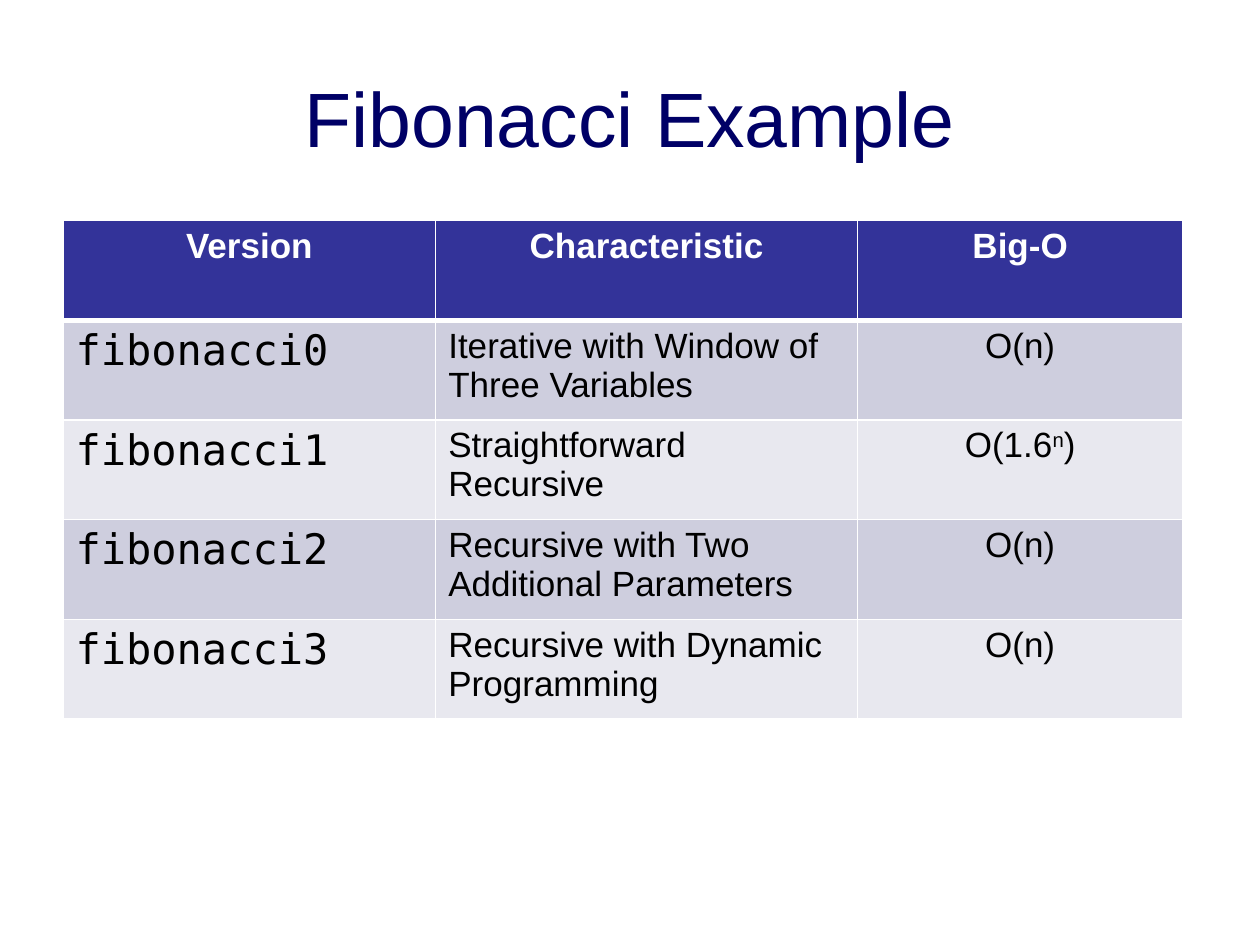
from lxml import etree
from pptx import Presentation
from pptx import util as u
from pptx.dml.color import RGBColor
from pptx.enum import text
from pptx.oxml import ns

Pt = u.Pt
CENTER, LEFT = text.PP_ALIGN.CENTER, text.PP_ALIGN.LEFT


def add_run(paragraph, words, color, **formats):
    run = paragraph.add_run()
    run.text = words
    run.font.color.rgb = RGBColor.from_string(color)
    for name, value in formats.items():
        setattr(run.font, name, value)
    return run


def add_border(cell, side, width, color):
    line = etree.SubElement(cell._tc.get_or_add_tcPr(), ns.qn(f"a:ln{side}"), w=str(Pt(width)))
    fill = etree.SubElement(line, ns.qn("a:solidFill"))
    etree.SubElement(fill, ns.qn("a:srgbClr"), val=color)


presentation = Presentation()
presentation.slide_width, presentation.slide_height = Pt(720), Pt(540)
slide = presentation.slides.add_slide(presentation.slide_layouts[5])

# Title
title = slide.shapes.title
title.left, title.top, title.width, title.height = Pt(36), Pt(21.6), Pt(648), Pt(90)
title.text_frame.vertical_anchor = text.MSO_ANCHOR.MIDDLE
paragraph = title.text_frame.paragraphs[0]
paragraph.alignment = CENTER
add_run(paragraph, "Fibonacci Example", "000066", size=Pt(44), name="Arial")

# Table content; a caret starts a superscript that ends before the last bracket
rows = [
    ("Version", "Characteristic", "Big-O"),
    ("fibonacci0", "Iterative with Window of Three Variables", "O(n)"),
    ("fibonacci1", "Straightforward Recursive", "O(1.6^n)"),
    ("fibonacci2", "Recursive with Two Additional Parameters", "O(n)"),
    ("fibonacci3", "Recursive with Dynamic Programming", "O(n)"),
]
column_widths = [213, 241, 186]
row_height = 57
header_format = {"size": Pt(20), "name": "Arial", "bold": True}
column_formats = [
    {"size": Pt(24), "name": "DejaVu Sans Mono"},
    {"size": Pt(20), "name": "Arial"},
    {"size": Pt(20), "name": "Arial"},
]
column_alignments = [LEFT, LEFT, CENTER]

# Table grid
table = slide.shapes.add_table(
    len(rows), len(column_widths), Pt(36), Pt(126),
    Pt(sum(column_widths)), Pt(row_height * len(rows))).table
for column, width in zip(table.columns, column_widths):
    column.width = Pt(width)

# Table cells
for row_index, row in enumerate(rows):
    table.rows[row_index].height = Pt(row_height)
    header = row_index == 0
    fill_color = "333399" if header else ("E8E8EF", "CECEDE")[row_index % 2]
    text_color = "FFFFFF" if header else "000000"
    border_widths = {"L": 1, "R": 1, "T": 3 if row_index == 1 else 1, "B": 3 if header else 1}
    for column_index, words in enumerate(row):
        cell = table.cell(row_index, column_index)
        for side, width in border_widths.items():
            add_border(cell, side, width, "FFFFFF")
        cell.fill.solid()
        cell.fill.fore_color.rgb = RGBColor.from_string(fill_color)

        paragraph = cell.text_frame.paragraphs[0]
        paragraph.alignment = CENTER if header else column_alignments[column_index]
        formats = header_format if header else column_formats[column_index]
        base, caret, power = words.partition("^")
        add_run(paragraph, base, text_color, **formats)
        if caret:
            exponent = add_run(paragraph, power[:-1], text_color, **formats)
            exponent._r.get_or_add_rPr().set("baseline", "30000")
            add_run(paragraph, power[-1], text_color, **formats)

presentation.save("out.pptx")
